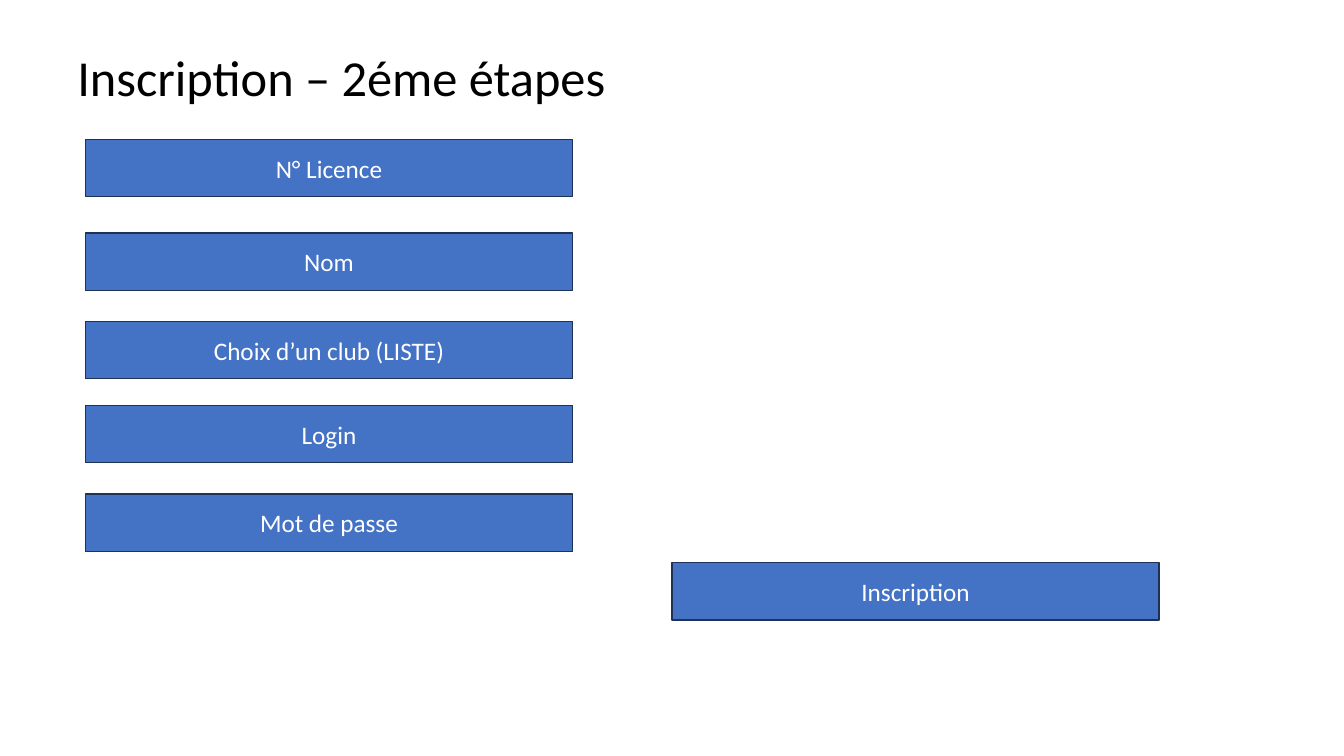
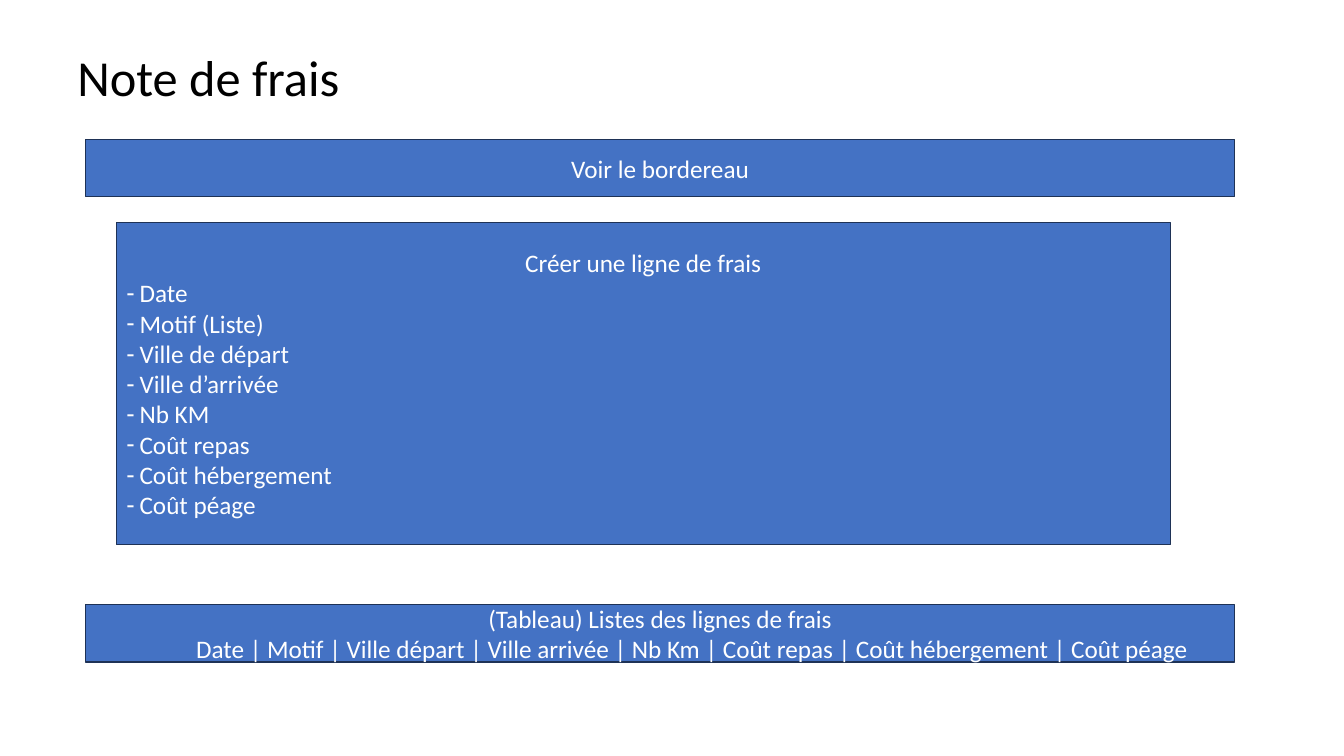
from dataclasses import dataclass

from pptx import Presentation
from pptx.dml.color import RGBColor
from pptx.enum import shapes, text
from pptx.oxml.ns import qn
from pptx.util import Pt
from lxml import etree


@dataclass(frozen=True)
class Theme:
    font: str = "Calibri"
    title_size: int = 36
    body_size: int = 18
    ink: RGBColor = RGBColor(0, 0, 0)
    white: RGBColor = RGBColor(255, 255, 255)
    fill: RGBColor = RGBColor(0x44, 0x72, 0xC4)
    border: RGBColor = RGBColor(0x1E, 0x32, 0x56)


T = Theme()
CENTER, DASH, INDENT = "center", "dash", "indent"
HANGING = {CENTER: 0, DASH: 9.5, INDENT: 72}
LEFT, FIELD_W, WIDE_W, BAR_H = 61, 348, 821, 41

SIGNUP_TITLE = "Inscription – 2éme étapes"
FIELDS = [
    ("N° Licence", 99.5),
    ("Nom", 166.5),
    ("Choix d’un club (LISTE)", 229.5),
    ("Login", 289.5),
    ("Mot de passe", 353),
]
SUBMIT = "Inscription"

EXPENSE_TITLE = "Note de frais"
VIEW = "Voir le bordereau"
FORM_HEADING = "Créer une ligne de frais"
FORM_ITEMS = [
    "Date", "Motif (Liste)", "Ville de départ", "Ville d’arrivée",
    "Nb KM", "Coût repas", "Coût hébergement", "Coût péage",
]
LIST_HEADING = "(Tableau) Listes des lignes de frais"
COLUMNS = [
    "Date", "Motif", "Ville départ", "Ville arrivée",
    "Nb Km", "Coût repas", "Coût hébergement", "Coût péage",
]


def place(sp, x, y, w, h):
    sp.left, sp.top, sp.width, sp.height = Pt(x), Pt(y), Pt(w), Pt(h)


def add_text(p, words, size, color):
    r = p.add_run()
    r.text = words
    r.font.name, r.font.size = T.font, Pt(size)
    r.font.color.rgb = color


def set_indent(p, kind):
    pPr = p._p.get_or_add_pPr()
    margin = Pt(HANGING[kind])
    pPr.set("marL", str(margin))
    pPr.set("indent", str(-margin if kind == DASH else 0))
    if kind == DASH:
        etree.SubElement(pPr, qn("a:buChar")).set("char", "-")
    else:
        etree.SubElement(pPr, qn("a:buNone"))


def fill_panel(sp, lines):
    sp.fill.solid()
    sp.fill.fore_color.rgb = T.fill
    sp.line.color.rgb = T.border
    sp.line.width = Pt(1)
    tf = sp.text_frame
    tf.word_wrap = True
    tf.auto_size = text.MSO_AUTO_SIZE.NONE
    tf.vertical_anchor = text.MSO_ANCHOR.MIDDLE
    for i, (words, kind) in enumerate(lines):
        p = tf.add_paragraph() if i else tf.paragraphs[0]
        p.alignment = text.PP_ALIGN.CENTER if kind == CENTER else text.PP_ALIGN.LEFT
        p.space_before = Pt(0)
        set_indent(p, kind)
        add_text(p, words, T.body_size, T.white)


def add_bar(s, x, y, w, *lines):
    sp = s.shapes.add_shape(shapes.MSO_SHAPE.RECTANGLE, Pt(x), Pt(y), Pt(w), Pt(BAR_H))
    sp.shadow.inherit = False
    fill_panel(sp, lines)


def add_slide(prs, layout, title):
    s = prs.slides.add_slide(prs.slide_layouts.get_by_name(layout))
    sp = s.shapes.title
    place(sp, 48, 29.5, 860, 51)
    tf = sp.text_frame
    tf.auto_size = text.MSO_AUTO_SIZE.NONE
    tf.vertical_anchor = text.MSO_ANCHOR.TOP
    p = tf.paragraphs[0]
    p.alignment = text.PP_ALIGN.LEFT
    add_text(p, title, T.title_size, T.ink)
    return s


def build_signup(prs):
    s = add_slide(prs, "Title Only", SIGNUP_TITLE)
    for label, y in FIELDS:
        add_bar(s, LEFT, y, FIELD_W, (label, CENTER))
    add_bar(s, 480, 402, FIELD_W, (SUBMIT, CENTER))


def build_expenses(prs):
    s = add_slide(prs, "Title and Content", EXPENSE_TITLE)
    add_bar(s, LEFT, 99.5, WIDE_W, (VIEW, CENTER))
    form = s.placeholders[1]
    place(form, 83, 159, 753, 230)
    fill_panel(form, [(FORM_HEADING, CENTER)] + [(item, DASH) for item in FORM_ITEMS])
    add_bar(s, LEFT, 432, WIDE_W, (LIST_HEADING, CENTER), (" | ".join(COLUMNS), INDENT))


def main():
    prs = Presentation()
    prs.slide_width, prs.slide_height = Pt(960), Pt(540)
    build_signup(prs)
    build_expenses(prs)
    prs.save("out.pptx")


if __name__ == "__main__":
    main()
